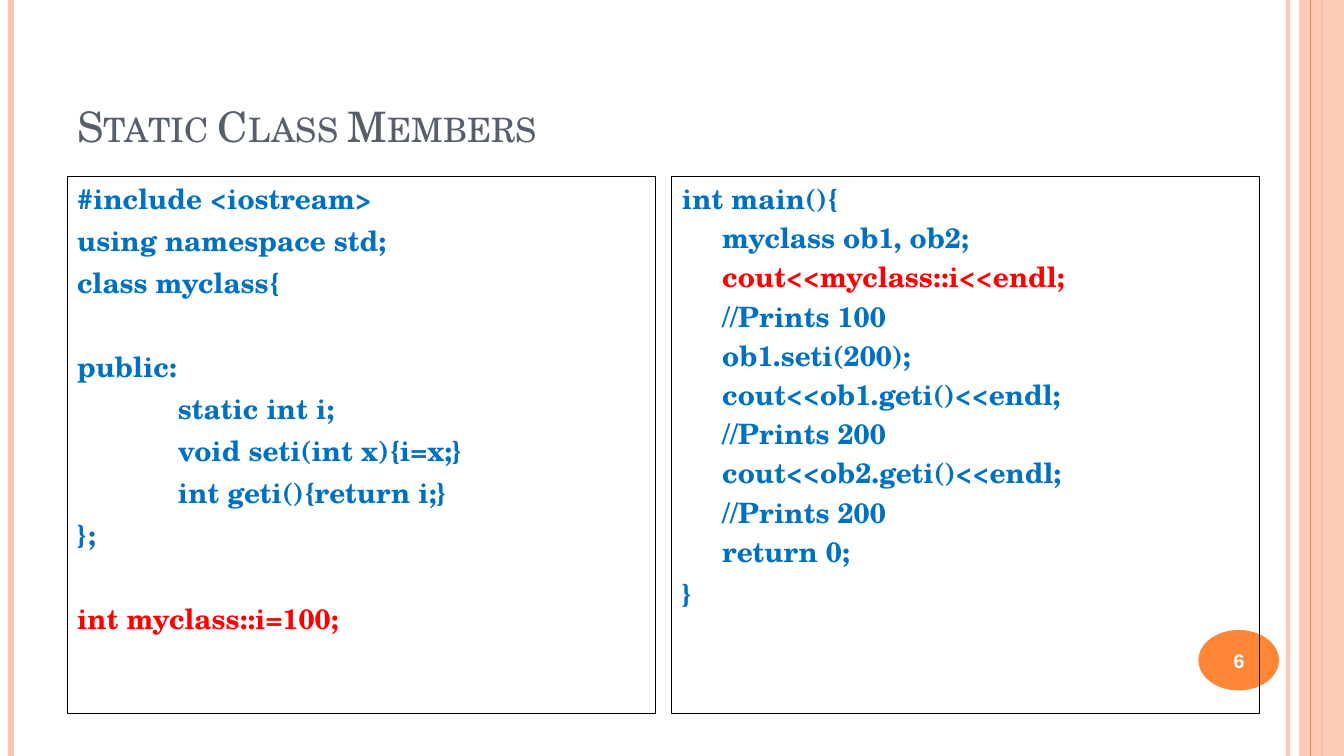
from lxml.etree import SubElement
from pptx import Presentation
from pptx.dml.color import RGBColor
from pptx.enum.shapes import MSO_CONNECTOR, MSO_SHAPE
from pptx.enum.text import MSO_ANCHOR, PP_ALIGN
from pptx.oxml.ns import qn
from pptx.util import Pt

COLORS = {
    "peach": "FEC3AE",
    "orange": "FE8637",
    "slate": "575F6D",
    "blue": "0070C0",
    "red": "FF0000",
    "black": "000000",
    "white": "FFFFFF",
}
SERIF = "TeX Gyre Schola"
SLIDE_WIDTH, SLIDE_HEIGHT = 960, 540

# Each code line: text, then the format that differs from the default.
CLASS_CODE = [
    ("#include <iostream>", {}),
    ("using namespace std;", {}),
    ("class myclass{", {}),
    ("public:", {"before": 36}),
    ("static int i;", {"indent": 72}),
    ("void seti(int x){i=x;}", {"indent": 72}),
    ("int geti(){return i;}", {"indent": 72}),
    ("};", {}),
    ("int myclass::i=100;", {"before": 36, "color": "red"}),
]
MAIN_BODY = [
    "myclass ob1, ob2;",
    "cout<<myclass::i<<endl;",
    "//Prints 100",
    "ob1.seti(200);",
    "cout<<ob1.geti()<<endl;",
    "//Prints 200",
    "cout<<ob2.geti()<<endl;",
    "//Prints 200",
    "return 0;",
]
MAIN_CODE = [
    ("int main(){", {}),
    *[(text, {"indent": 28.8, "before": 4,
              "color": "red" if "myclass::" in text else "blue"})
      for text in MAIN_BODY],
    ("}", {}),
]


def rgb(name):
    return RGBColor.from_string(COLORS[name])


def set_alpha(fill, percent):
    """Make the solid colour below the given element partly transparent."""
    color = fill.find(".//" + qn("a:srgbClr"))
    SubElement(color, qn("a:alpha"), val=str(percent * 1000))


def add_vertical_rule(slide, x, color, width, alpha=None):
    rule = slide.shapes.add_connector(
        MSO_CONNECTOR.STRAIGHT, Pt(x), Pt(0), Pt(x), Pt(SLIDE_HEIGHT))
    rule.line.color.rgb = rgb(color)
    rule.line.width = Pt(width)
    properties = rule._element.spPr
    if alpha:
        set_alpha(properties, alpha)
    SubElement(properties, qn("a:effectLst"))


def add_panel(slide, kind, box, fill=None, line=None, alpha=None):
    shape = slide.shapes.add_shape(kind, *map(Pt, box))
    shape.shadow.inherit = False
    if fill:
        shape.fill.solid()
        shape.fill.fore_color.rgb = rgb(fill)
        if alpha:
            set_alpha(shape._element.spPr, alpha)
    else:
        shape.fill.background()
    if line:
        shape.line.color.rgb = rgb(line)
        shape.line.width = Pt(0.75)
    else:
        shape.line.fill.background()
    return shape


def write_text(paragraph, text, size=20, color="blue", font=SERIF, bold=True,
               align=PP_ALIGN.LEFT, before=0, indent=0, small_caps=False):
    paragraph.alignment = align
    paragraph.space_before = Pt(before)
    if indent:
        paragraph._p.get_or_add_pPr().set("marL", str(Pt(indent)))
    run = paragraph.add_run()
    run.text = text
    run.font.size = Pt(size)
    run.font.name = font
    run.font.bold = bold
    run.font.color.rgb = rgb(color)
    if small_caps:
        run._r.get_or_add_rPr().set("cap", "small")


def add_label(slide, box, text, anchor, **text_format):
    frame = slide.shapes.add_textbox(*map(Pt, box)).text_frame
    frame.word_wrap = True
    frame.vertical_anchor = anchor
    write_text(frame.paragraphs[0], text, **text_format)


def add_code_panel(slide, left, code):
    panel = add_panel(slide, MSO_SHAPE.RECTANGLE, (left, 126, 420, 384),
                      line="black")
    frame = panel.text_frame
    frame.word_wrap = True
    frame.vertical_anchor = MSO_ANCHOR.TOP
    for index, (text, text_format) in enumerate(code):
        paragraph = frame.add_paragraph() if index else frame.paragraphs[0]
        write_text(paragraph, text, **{"before": 6, **text_format})


def add_decoration(slide):
    add_vertical_rule(slide, 920, "peach", 3, alpha=93)
    add_vertical_rule(slide, 8, "peach", 4.5)
    add_vertical_rule(slide, 944, "orange", 1.5)
    add_panel(slide, MSO_SHAPE.RECTANGLE, (928, 0, 32, SLIDE_HEIGHT),
              fill="peach", alpha=87)
    add_vertical_rule(slide, 936, "orange", 0.75)
    add_panel(slide, MSO_SHAPE.OVAL, (856, 450, 57.6, 43.2), fill="orange")


def main():
    presentation = Presentation()
    presentation.slide_width = Pt(SLIDE_WIDTH)
    presentation.slide_height = Pt(SLIDE_HEIGHT)
    slide = presentation.slides.add_slide(presentation.slide_layouts[6])

    add_decoration(slide)
    add_label(slide, (48, 21.6, 808, 90), "Static Class Members",
              MSO_ANCHOR.BOTTOM, size=30, color="slate", bold=False,
              small_caps=True)
    add_code_panel(slide, 48, CLASS_CODE)
    add_label(slide, (853, 451.4, 64, 41), "6", MSO_ANCHOR.MIDDLE, size=14,
              color="white", font="Arial", align=PP_ALIGN.CENTER)
    add_code_panel(slide, 480, MAIN_CODE)

    presentation.save("out.pptx")


if __name__ == "__main__":
    main()
